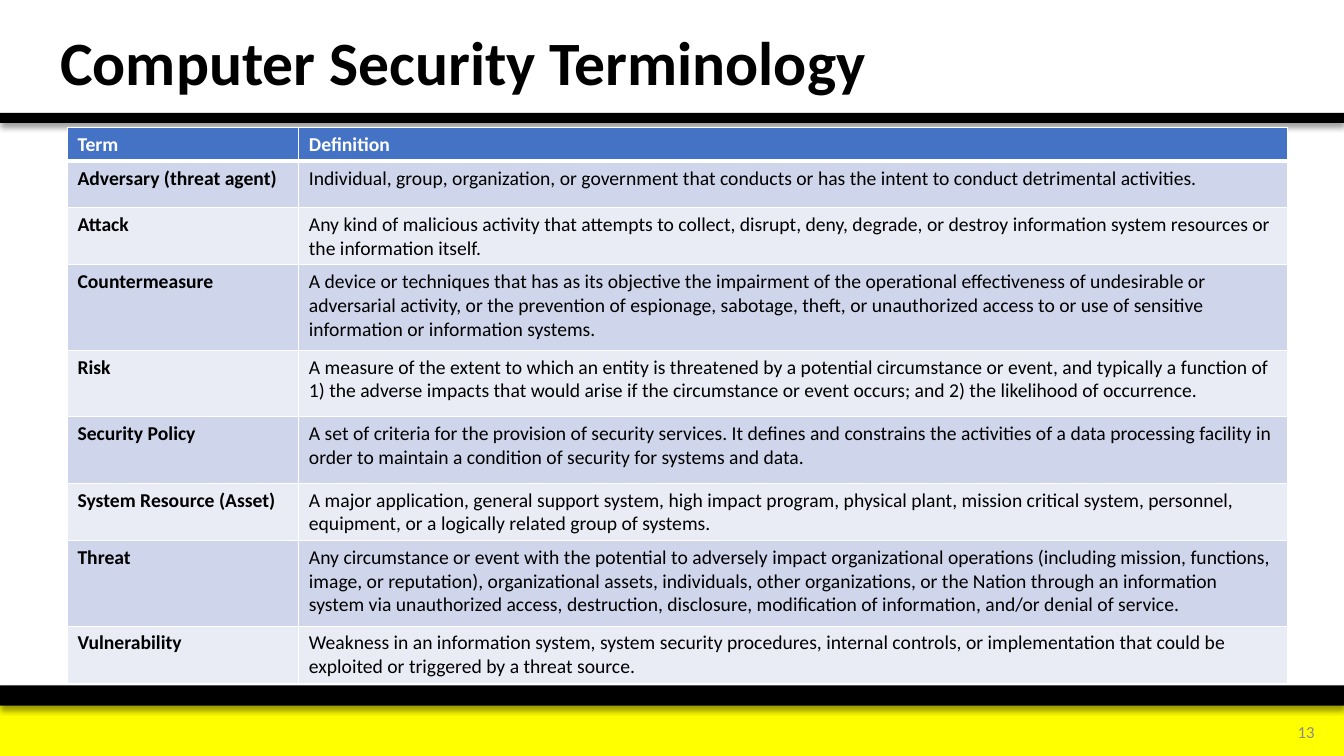
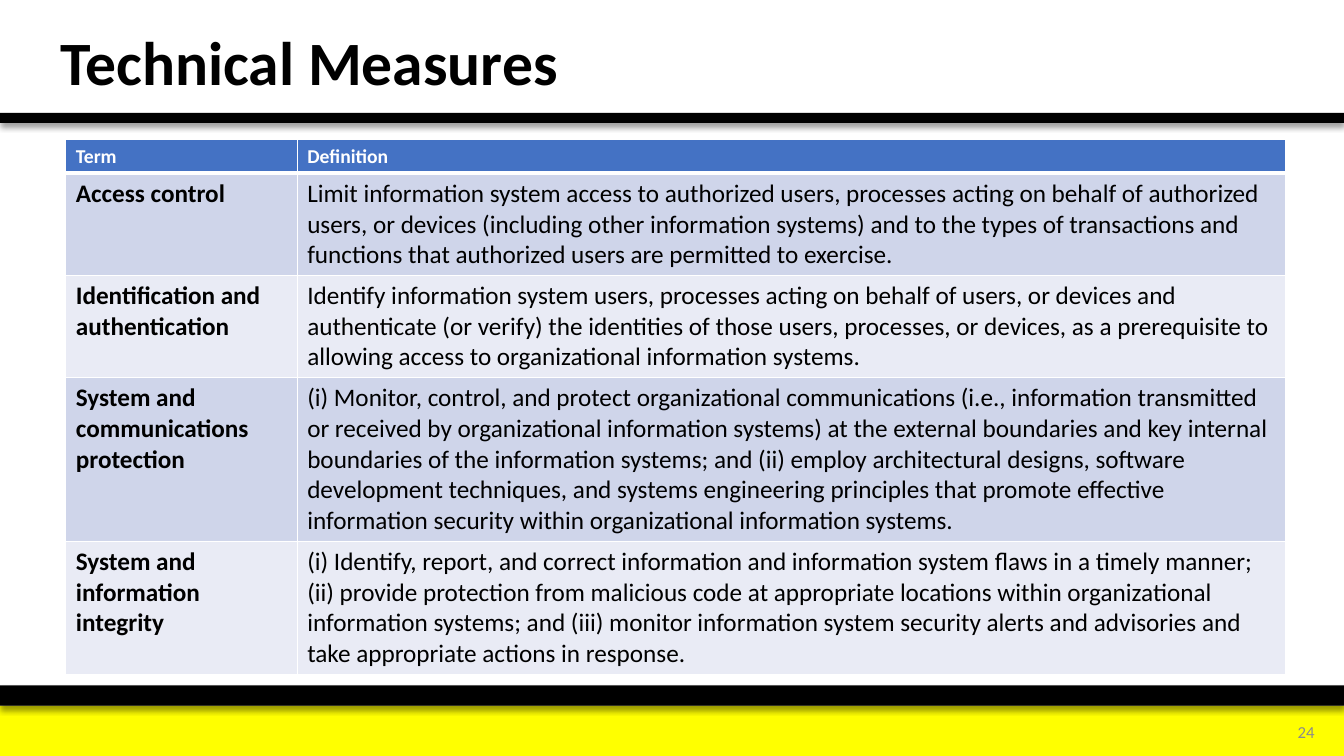
from dataclasses import dataclass

from lxml.etree import SubElement
from pptx import Presentation
from pptx.dml.color import RGBColor
from pptx.enum.shapes import MSO_SHAPE as Preset
from pptx.enum.text import MSO_ANCHOR as Anchor, PP_ALIGN as Align
from pptx.oxml.ns import qn
from pptx.util import Pt


@dataclass(frozen=True)
class Theme:
    font: str = "Calibri"
    black: str = "000000"
    white: str = "FFFFFF"
    yellow: str = "FFFF00"
    grey: str = "8C8C8C"
    header: str = "4472C4"
    bands: tuple = ("CFD5EA", "E9EBF5")
    title_size: int = 44
    number_size: int = 12
    table_size: int = 14
    large_size: int = 18
    thin_line: int = 1
    thick_line: int = 3


@dataclass(frozen=True)
class Box:
    left: float
    top: float
    width: float
    height: float = 0

    def lengths(self):
        return [Pt(v) for v in (self.left, self.top, self.width, self.height)]


THEME = Theme()
PAGE = Box(0, 0, 960, 540)
TITLE = Box(36, 6.5, 697, 80.6)
TITLE_RULE = Box(0, 80.6, PAGE.width, 7.2)
FOOTER = Box(0, 489.6, PAGE.width, 50.4)
FOOTER_RULE_HEIGHT = 14.4
NUMBER = Box(891.4, 508.4, 54.7, 28.8)
COLUMNS = (165.3, 706)

TERMS = [
    ("Adversary (threat agent)",
     "Individual, group, organization, or government that conducts or has the intent "
     "to conduct detrimental activities.", 33),
    ("Attack",
     "Any kind of malicious activity that attempts to collect, disrupt, deny, degrade, "
     "or destroy information system resources or the information itself.", 40.6),
    ("Countermeasure",
     "A device or techniques that has as its objective the impairment of the operational "
     "effectiveness of undesirable or adversarial activity, or the prevention of espionage, "
     "sabotage, theft, or unauthorized access to or use of sensitive information or "
     "information systems.", 61.2),
    ("Risk",
     "A measure of the extent to which an entity is threatened by a potential circumstance "
     "or event, and typically a function of 1) the adverse impacts that would arise if the "
     "circumstance or event occurs; and 2) the likelihood of occurrence.", 47.5),
    ("Security Policy",
     "A set of criteria for the provision of security services. It defines and constrains "
     "the activities of a data processing facility in order to maintain a condition of "
     "security for systems and data.", 47.5),
    ("System Resource (Asset)",
     "A major application, general support system, high impact program, physical plant, "
     "mission critical system, personnel, equipment, or a logically related group of "
     "systems.", 40.6),
    ("Threat",
     "Any circumstance or event with the potential to adversely impact organizational "
     "operations (including mission, functions, image, or reputation), organizational "
     "assets, individuals, other organizations, or the Nation through an information "
     "system via unauthorized access, destruction, disclosure, modification of "
     "information, and/or denial of service.", 61.2),
    ("Vulnerability",
     "Weakness in an information system, system security procedures, internal controls, "
     "or implementation that could be exploited or triggered by a threat source.", 40.6),
]

MEASURES = [
    ("Access control",
     "Limit information system access to authorized users, processes acting on behalf of "
     "authorized users, or devices (including other information systems) and to the types "
     "of transactions and functions that authorized users are permitted to exercise.", 73),
    ("Identification and authentication",
     "Identify information system users, processes acting on behalf of users, or devices "
     "and authenticate (or verify) the identities of those users, processes, or devices, "
     "as a prerequisite to allowing access to organizational information systems.", 73),
    ("System and communications protection",
     "(i) Monitor, control, and protect organizational communications (i.e., information "
     "transmitted or received by organizational information systems) at the external "
     "boundaries and key internal boundaries of the information systems; and (ii) employ "
     "architectural designs, software development techniques, and systems engineering "
     "principles that promote effective information security within organizational "
     "information systems.", 117),
    ("System and information integrity",
     "(i) Identify, report, and correct information and information system flaws in a "
     "timely manner; (ii) provide protection from malicious code at appropriate locations "
     "within organizational information systems; and (iii) monitor information system "
     "security alerts and advisories and take appropriate actions in response.", 95),
]


def write(frame, text, *, size, color=THEME.black, bold=False, align=None, spacing=None):
    para = frame.paragraphs[0]
    if align is not None:
        para.alignment = align
    if spacing is not None:
        para.line_spacing = spacing
    span = para.add_run()
    span.text = text
    span.font.name = THEME.font
    span.font.size = Pt(size)
    span.font.bold = bold
    span.font.color.rgb = RGBColor.from_string(color)


def add_text(page, box, text, **style):
    frame = page.shapes.add_textbox(*box.lengths()).text_frame
    frame.word_wrap = True
    frame.vertical_anchor = Anchor.MIDDLE
    write(frame, text, **style)


def add_band(shapes, box, color, shadow=False):
    band = shapes.add_shape(Preset.RECTANGLE, *box.lengths())
    band.shadow.inherit = False
    band.fill.solid()
    band.fill.fore_color.rgb = RGBColor.from_string(color)
    band.line.fill.background()
    if shadow:
        effects = band._element.spPr.find(qn("a:effectLst"))
        outer = SubElement(effects, qn("a:outerShdw"), blurRad=str(Pt(4)),
                           dist=str(Pt(3)), dir="5400000", algn="t", rotWithShape="0")
        shade = SubElement(outer, qn("a:srgbClr"), val=THEME.black)
        SubElement(shade, qn("a:alpha"), val="40000")


def add_footer(page, box):
    group = page.shapes.add_group_shape()
    rule = FOOTER_RULE_HEIGHT
    add_band(group.shapes,
             Box(box.left, box.top + rule, box.width, box.height - rule), THEME.yellow)
    add_band(group.shapes, Box(box.left, box.top, box.width, rule), THEME.black, shadow=True)


def set_borders(cell, **widths):
    """Draw white borders; widths maps the sides L, R, T and B to points."""
    properties = cell._tc.get_or_add_tcPr()
    for side, width in widths.items():
        line = SubElement(properties, qn(f"a:ln{side}"), w=str(Pt(width)))
        fill = SubElement(line, qn("a:solidFill"))
        SubElement(fill, qn("a:srgbClr"), val=THEME.white)


def add_definitions(page, box, entries, size):
    rows = [("Term", "Definition", 24), *entries]
    table = page.shapes.add_table(len(rows), len(COLUMNS), *box.lengths()).table
    table.horz_banding = False
    for column, width in zip(table.columns, COLUMNS):
        column.width = Pt(width)
    for index, (*texts, height) in enumerate(rows):
        table.rows[index].height = Pt(height)
        heading = index == 0
        above = THEME.thick_line if index == 1 else THEME.thin_line
        below = THEME.thick_line if heading else THEME.thin_line
        for column, text in enumerate(texts):
            cell = table.cell(index, column)
            set_borders(cell, L=THEME.thin_line, R=THEME.thin_line, T=above, B=below)
            cell.fill.solid()
            cell.fill.fore_color.rgb = RGBColor.from_string(
                THEME.header if heading else THEME.bands[(index - 1) % 2])
            write(cell.text_frame, text,
                  size=THEME.table_size if heading else size,
                  color=THEME.white if heading else THEME.black,
                  bold=heading or column == 0)


def add_definition_page(deck, title, number, box, entries, size):
    page = deck.slides.add_slide(deck.slide_layouts[6])
    add_footer(page, FOOTER)
    add_band(page.shapes, TITLE_RULE, THEME.black, shadow=True)
    add_text(page, NUMBER, number, size=THEME.number_size, color=THEME.grey,
             align=Align.RIGHT)
    add_text(page, TITLE, title, size=THEME.title_size, bold=True, spacing=0.9)
    add_definitions(page, box, entries, size)


def main():
    deck = Presentation()
    deck.slide_width, deck.slide_height = Pt(PAGE.width), Pt(PAGE.height)
    width = sum(COLUMNS)
    add_definition_page(deck, "Computer Security Terminology", "13",
                        Box(48.2, 91.2, width), TERMS, THEME.table_size)
    add_definition_page(deck, "Technical Measures", "24",
                        Box(47, 99.7, width), MEASURES, THEME.large_size)
    deck.save("out.pptx")


if __name__ == "__main__":
    main()
